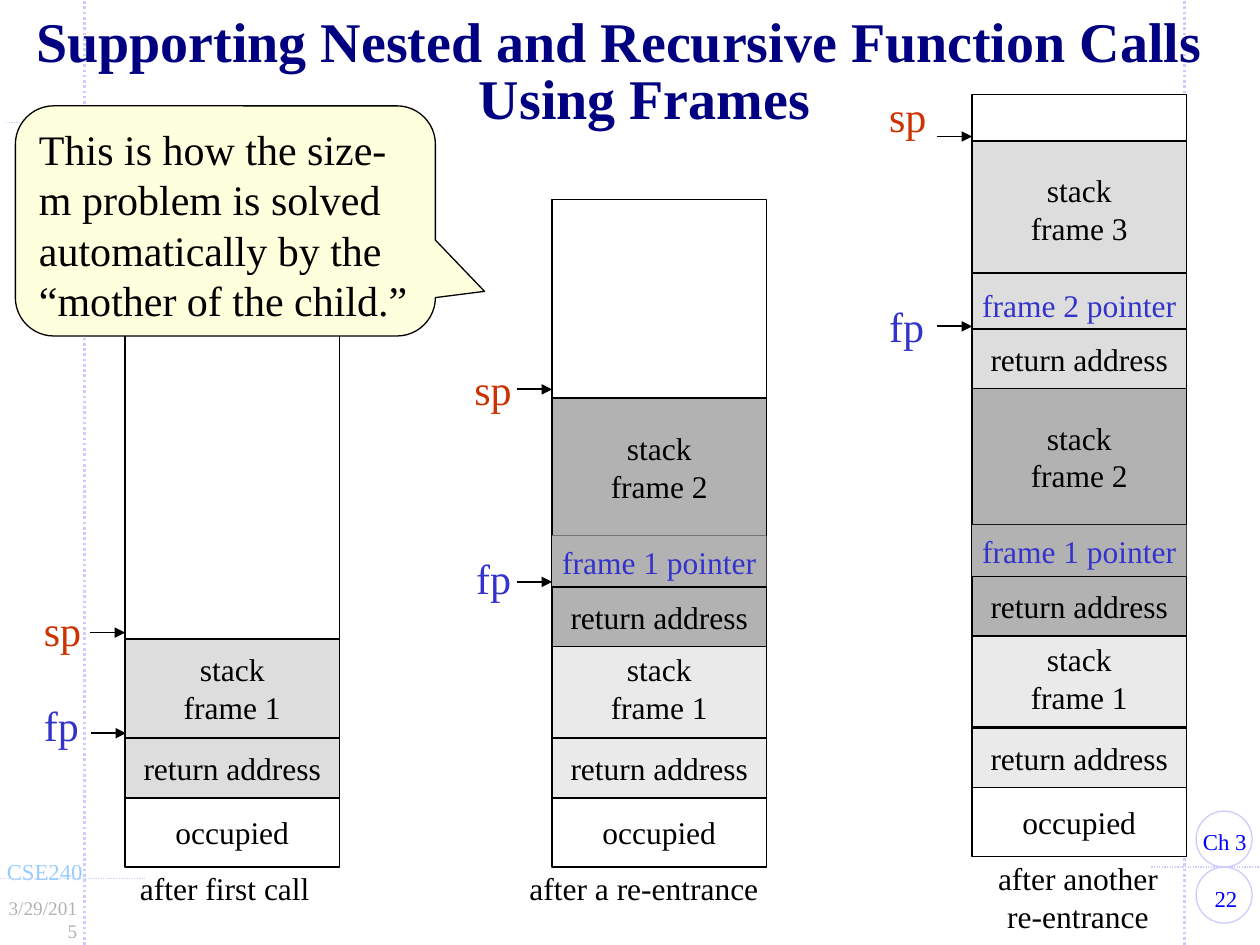
import pptx
import pptx.util
import pptx.dml.color
import pptx.enum.dml
import pptx.enum.shapes
import pptx.enum.text
import pptx.oxml.ns
from lxml import etree

Pt = pptx.util.Pt
Shape = pptx.enum.shapes.MSO_SHAPE
Align = pptx.enum.text.PP_ALIGN
Anchor = pptx.enum.text.MSO_ANCHOR
Dash = pptx.enum.dml.MSO_LINE
qn = pptx.oxml.ns.qn

COLORS = {
    "black": "000000", "white": "FFFFFF", "navy": "000080", "blue": "0000FF",
    "sky": "99CCFF", "lilac": "CCCCFF", "red": "CC3300", "indigo": "3333CC",
    "cream": "FDFFDD", "pale": "EAEAEA", "light": "DDDDDD", "gray": "B2B2B2",
}
FONT = "Times New Roman"
WIDTH = 122.5
SHIFT = -6

BASE = [
    ("occupied", 455.5, 40, "white"),
    ("return address", 422, 34, "pale"),
    ("stack\nframe 1", 365, 56.5, "pale"),
]
SECOND = [
    ("stack\nframe 2", 227.5, 78.5, "gray"),
    ("frame 1 pointer", 306, 30, "gray"),
    ("return address", 335.5, 34, "gray"),
]
THIRD = [
    ("stack\nframe 3", 80.5, 78, "light"),
    ("frame 2 pointer", 156, 36, "light"),
    ("return address", 188, 34, "light"),
]


def rgb(name):
    return pptx.dml.color.RGBColor.from_string(COLORS[name])


def put(thing, values):
    for key, value in values.items():
        setattr(thing, key, value)


def write(shape, words, size, color, align=Align.LEFT, bold=False, **frame):
    body = shape.text_frame
    put(body, {"word_wrap": False, **frame})
    for i, line in enumerate(words.split("\n")):
        para = body.paragraphs[0] if i == 0 else body.add_paragraph()
        para.text = line
        para.alignment = align
        put(para.font, {"name": FONT, "size": Pt(size), "bold": bold})
        para.font.color.rgb = rgb(color)


def text(slide, at, words, size, color, **style):
    box = slide.shapes.add_textbox(*map(Pt, at))
    write(box, words, size, color, **style)
    return box


def shape(slide, kind, at, fill, line, weight):
    item = slide.shapes.add_shape(kind, *map(Pt, at))
    item.shadow.inherit = False
    if fill:
        item.fill.solid()
        item.fill.fore_color.rgb = rgb(fill)
    else:
        item.fill.background()
    if line:
        item.line.color.rgb = rgb(line)
        item.line.width = Pt(weight)
    else:
        item.line.fill.background()
    return item


def rule(slide, ends, color, weight, dash=None):
    line = slide.shapes.add_connector(
        pptx.enum.shapes.MSO_CONNECTOR.STRAIGHT, *map(Pt, ends))
    line.line.color.rgb = rgb(color)
    line.line.width = Pt(weight)
    if dash:
        line.line.dash_style = dash
    etree.SubElement(line._element.spPr, qn("a:effectLst"))
    return line


def arrow(slide, left, right, y):
    line = rule(slide, (left, y, right, y), "black", 1)
    tip = etree.SubElement(line.line._get_or_add_ln(), qn("a:tailEnd"))
    tip.set("type", "triangle")


def cell(slide, left, top, high, fill, words=""):
    bare = words == "frame 1 pointer"
    item = shape(slide, Shape.RECTANGLE, (left, top, WIDTH, high), fill,
                 None if bare else "black", 1)
    if words:
        color = "indigo" if "pointer" in words else "black"
        write(item, words, 18, color, align=Align.CENTER,
              vertical_anchor=Anchor.MIDDLE)


def stack(slide, left, top, rows, shift=0):
    cell(slide, left, top, 422 + shift - top, "white")
    for words, y, high, fill in rows:
        cell(slide, left, y + shift, high, fill, words)


def mark(slide, name, left, top, right, y):
    color = "red" if name == "sp" else "indigo"
    text(slide, (left, top, 40, 36), name, 24, color)
    arrow(slide, right - 20, right, y)


def frame(slide):
    for x in (48.2, 677):
        rule(slide, (x, 540, x, 0), "lilac", 1.5, Dash.ROUND_DOT)
    for left, right, y in ((0, 83, 502), (658, 720, 495.5), (3.5, 86.5, 70)):
        rule(slide, (left, y, right, y), "lilac", 0.75, Dash.ROUND_DOT)
    for y in (495.5, 463.5):
        shape(slide, Shape.OVAL, (683.5, y, 32, 32), None, "lilac", 0.75)
    side = {"margin_left": Pt(7.9), "margin_right": Pt(7.9)}
    text(slide, (679.5, 502, 42, 23), "22", 13, "blue",
         align=Align.CENTER, **side)
    text(slide, (679.5, 469.5, 46, 23), "Ch 3", 13, "blue", **side)
    text(slide, (-4, 486.5, 64, 23), "CSE240", 13, "sky", **side)
    text(slide, (-8, 508.5, 60, 21), "3/29/2015", 11, "gray",
         align=Align.RIGHT, **{**side, "word_wrap": True})


def title(slide):
    box = text(slide, (12, 6, 684, 72),
               "Supporting Nested and Recursive Function Calls Using Frames",
               32, "navy", align=Align.CENTER, bold=True, word_wrap=True,
               vertical_anchor=Anchor.MIDDLE,
               margin_left=Pt(7.9), margin_right=Pt(7.9))
    para = box.text_frame.paragraphs[0]
    para.line_spacing = 0.85
    props = para._p.get_or_add_pPr()
    props.set("marL", str(Pt(28.8)))
    props.set("indent", str(-Pt(28.8)))


def note(slide):
    box = shape(slide, Shape.ROUNDED_RECTANGULAR_CALLOUT,
                (8.8, 60.5, 240, 131.5), "cream", "black", 0.75)
    for i, value in enumerate((0.617, 0.306, 0.167)):
        box.adjustments[i] = value
    write(box, "This is how the size-m problem is solved automatically "
          "by the “mother of the child.”", 24, "black",
          word_wrap=True, vertical_anchor=Anchor.TOP)


def main():
    deck = pptx.Presentation()
    put(deck, {"slide_width": Pt(720), "slide_height": Pt(540)})
    slide = deck.slides.add_slide(deck.slide_layouts[6])
    frame(slide)
    title(slide)

    first = [(words, y, high, "light" if fill == "pale" else fill)
             for words, y, high, fill in BASE]
    stack(slide, 71.5, 114, first)
    stack(slide, 315.5, 114, BASE + SECOND)
    stack(slide, 555.5, 54, BASE + SECOND, SHIFT)
    for words, y, high, fill in THIRD:
        cell(slide, 555.5, y, high, fill, words)

    for name, left, top, right, y in (
        ("sp", 18, 342, 71.5, 361.5), ("fp", 18, 396, 72, 419),
        ("sp", 264, 204, 315.5, 222.5), ("fp", 265, 312, 315.5, 332.5),
        ("sp", 501, 48, 555.5, 78), ("fp", 501, 168, 555.5, 186.5),
    ):
        mark(slide, name, left, top, right, y)

    for words, left, top, wide, high in (
        ("after first call", 71.5, 493, 114, 29),
        ("after a re-entrance", 294, 493, 148, 29),
        ("after another\nre-entrance", 560, 487.5, 112, 50),
    ):
        text(slide, (left, top, wide, high), words, 18, "black",
             align=Align.CENTER)
    note(slide)
    deck.save("out.pptx")


if __name__ == "__main__":
    main()
